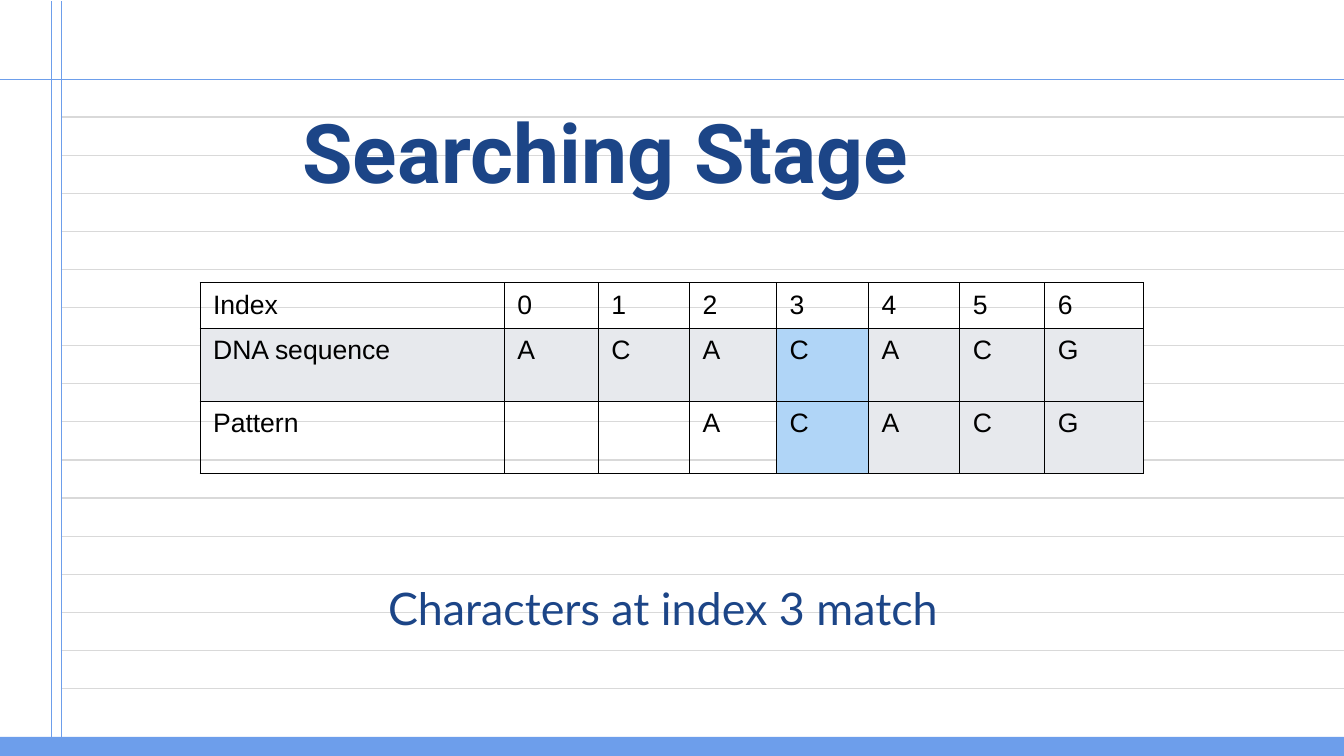
from lxml import etree
from pptx import Presentation
from pptx.dml.color import RGBColor
from pptx.enum.shapes import MSO_CONNECTOR, MSO_SHAPE
from pptx.enum.text import MSO_ANCHOR, PP_ALIGN
from pptx.oxml.ns import qn
from pptx.util import Cm, Pt

LINE = MSO_CONNECTOR.STRAIGHT
RECT = MSO_SHAPE.RECTANGLE
MID = MSO_ANCHOR.MIDDLE
TOP = MSO_ANCHOR.TOP
LEFT = PP_ALIGN.LEFT

NAVY, BLUE, RULE = "1C4587", "6D9EEB", "D9D9D9"
GREY, MATCH, BLACK = "E7E9ED", "B0D5F7", "000000"
WIDE, HIGH = 33.87, 19.05


def color(code):
    return RGBColor.from_string(code)


class Page:
    """Holds the slide and its text style."""

    def __init__(self, deck):
        self.slide = deck.slides.add_slide(deck.slide_layouts[5])
        self.shapes = self.slide.shapes
        self.pad = (0.33, 0.18)

    def label(self, frame, text, font, size, code, bold=False):
        para = frame.paragraphs[0]
        para.alignment = LEFT
        run = para.add_run()
        run.text = text
        run.font.name = font
        run.font.size = Pt(size)
        run.font.bold = bold
        run.font.color.rgb = color(code)

    def inset(self, item, x, y):
        item.margin_left = item.margin_right = Cm(x)
        item.margin_top = item.margin_bottom = Cm(y)

    def line(self, x1, y1, x2, y2, code, width):
        link = self.shapes.add_connector(LINE, Cm(x1), Cm(y1), Cm(x2), Cm(y2))
        link.line.color.rgb = color(code)
        link.line.width = Pt(width)
        etree.SubElement(link._element.spPr, qn("a:effectLst"))

    def bar(self, x, y, w, h, code):
        box = self.shapes.add_shape(RECT, Cm(x), Cm(y), Cm(w), Cm(h))
        box.shadow.inherit = False
        box.fill.solid()
        box.fill.fore_color.rgb = color(code)
        box.line.fill.background()

    def title(self, x, y, w, h, text):
        head = self.shapes.title
        head.left, head.top, head.width, head.height = Cm(x), Cm(y), Cm(w), Cm(h)
        frame = head.text_frame
        frame.word_wrap = True
        frame.vertical_anchor = MID
        self.inset(frame, 0, 0)
        self.label(frame, text, "Roboto", 58.7, NAVY, True)
        # Bring the title in front of the ruled lines
        self.shapes._spTree.append(head._element)

    def note(self, x, y, w, h, text):
        frame = self.shapes.add_textbox(Cm(x), Cm(y), Cm(w), Cm(h)).text_frame
        frame.word_wrap = True
        frame.vertical_anchor = TOP
        self.inset(frame, *self.pad)
        self.label(frame, text, "Lato", 32, NAVY)

    def border(self, cell):
        props = cell._tc.get_or_add_tcPr()
        for side in ("a:lnL", "a:lnR", "a:lnT", "a:lnB"):
            edge = etree.SubElement(props, qn(side), w=str(Pt(0.75)))
            fill = etree.SubElement(edge, qn("a:solidFill"))
            etree.SubElement(fill, qn("a:srgbClr"), val=BLACK)

    def table(self, x, y, cols, rows, data, shade):
        grid = self.shapes.add_table(len(rows), len(cols), Cm(x), Cm(y),
                                     Cm(sum(cols)), Cm(sum(rows))).table
        grid.first_row = grid.horz_banding = False
        for col, width in zip(grid.columns, cols):
            col.width = Cm(width)
        for row, height in zip(grid.rows, rows):
            row.height = Cm(height)
        for r, texts in enumerate(data):
            for c, text in enumerate(texts):
                cell = grid.cell(r, c)
                self.inset(cell, *self.pad)
                self.border(cell)
                code = shade(r, c)
                if code:
                    cell.fill.solid()
                    cell.fill.fore_color.rgb = color(code)
                else:
                    cell.fill.background()
                if text:
                    self.label(cell.text_frame, text, "Arial", 19, BLACK)


def shade(r, c):
    """Blue for the matching column, grey for the other letters."""
    if r > 0 and c == 4:
        return MATCH
    return GREY if r == 1 or (r == 2 and c > 4) else None


def main():
    deck = Presentation()
    deck.slide_width, deck.slide_height = Cm(WIDE), Cm(HIGH)
    page = Page(deck)

    # Ruled paper
    for i in range(16):
        y = 2.95 + 0.96 * i
        page.line(1.53, y, WIDE, y, RULE, 0.86)
    for x in (1.3, 1.55):
        page.line(x, 0.03, x, 19.02, BLUE, 0.62)
    page.line(0, 2, WIDE, 2, BLUE, 0.75)
    page.bar(0, 18.57, WIDE, HIGH - 18.57, BLUE)

    # Sequence table
    data = [["Index", *"0123456"],
            ["DNA sequence", *"ACACACG"],
            ["Pattern", "", "", *"ACACG"]]
    cols = [7.67, 2.37, 2.3, 2.19, 2.32, 2.3, 2.14, 2.5]
    page.table(5.04, 7.13, cols, [1.15, 1.83, 1.83], data, shade)

    # Caption and title
    page.note(9.45, 14.45, 14.99, 1.7, "Characters at index 3 match")
    page.title(7.62, 2.51, 18.64, 2.57, "Searching Stage")

    deck.save("out.pptx")


if __name__ == "__main__":
    main()
